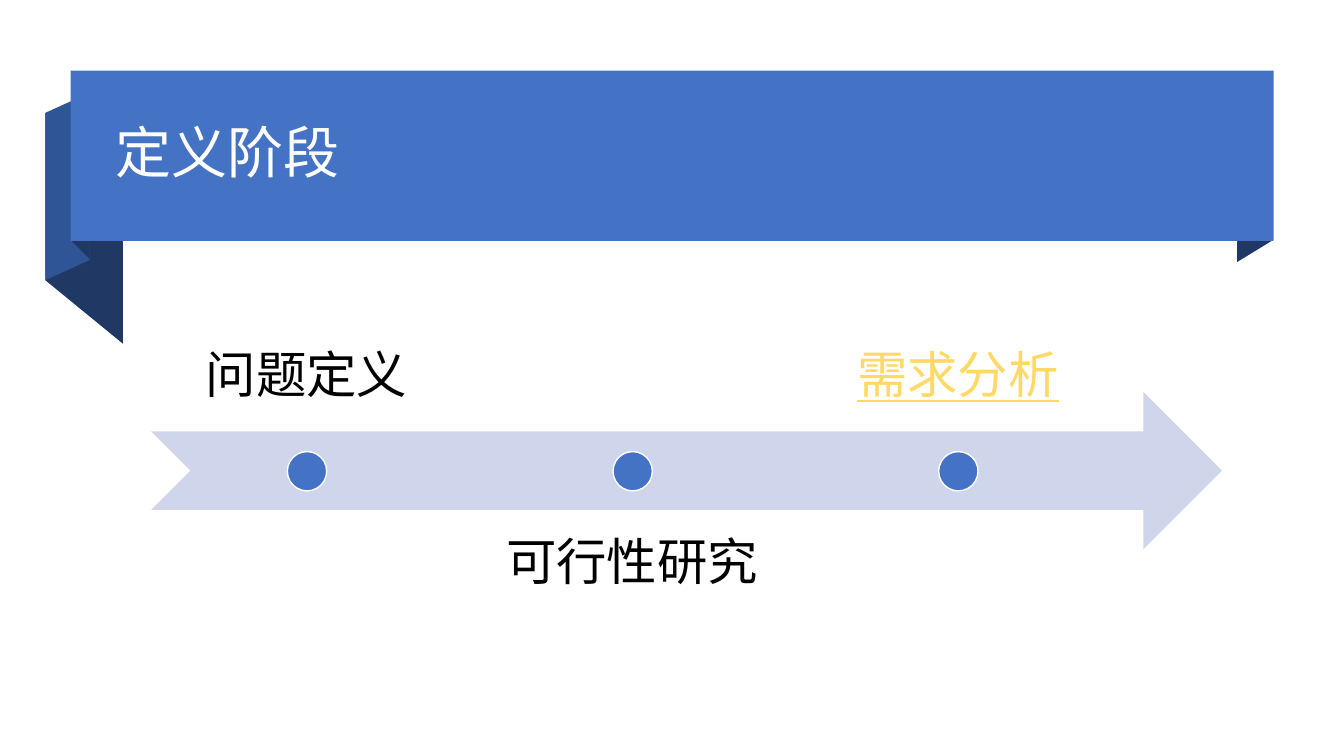
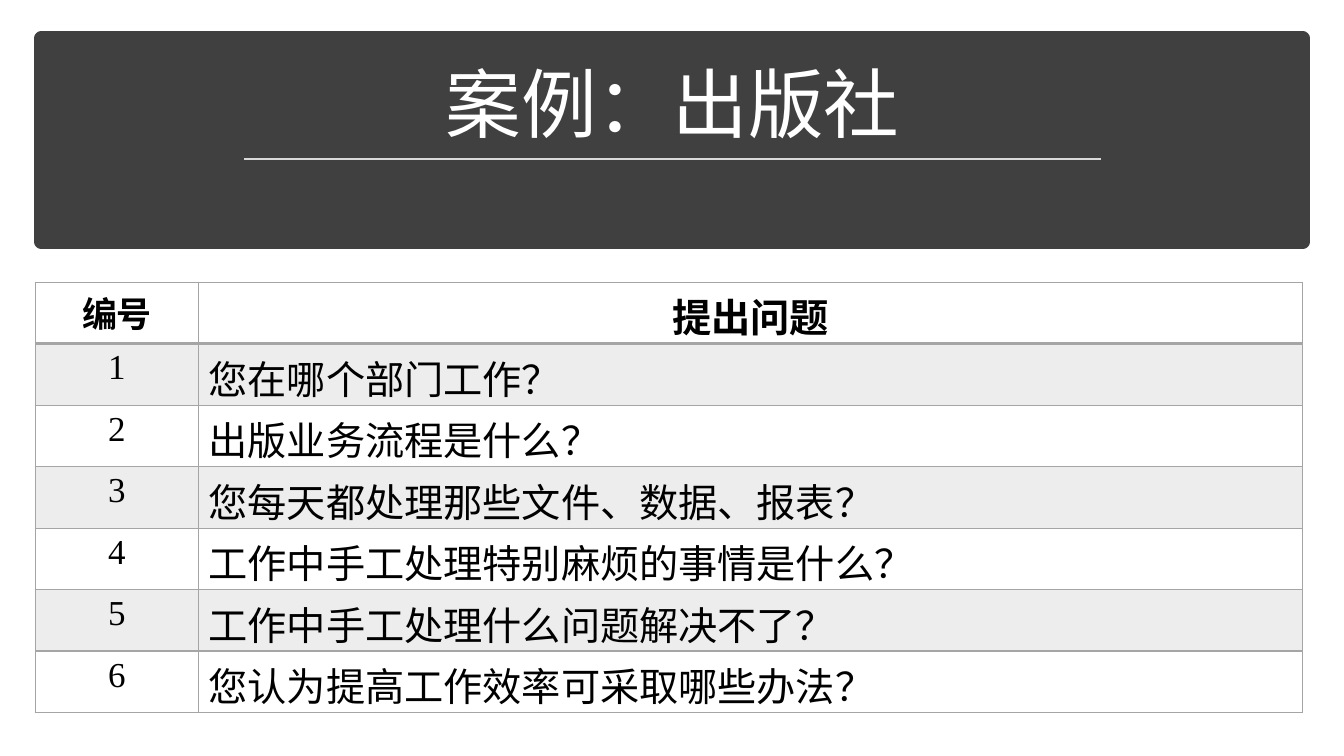
import pptx
import pptx.util
import pptx.dml.color
import pptx.enum.shapes
import pptx.enum.text
import pptx.oxml.ns
import lxml.etree

Inches = pptx.util.Inches
Pt = pptx.util.Pt
SHAPE = pptx.enum.shapes.MSO_SHAPE
ALIGN = pptx.enum.text.PP_ALIGN
ANCHOR = pptx.enum.text.MSO_ANCHOR
qn = pptx.oxml.ns.qn

# Shared style
SANS = "Noto Sans CJK SC"
SERIF = "Times New Roman"
WHITE, BLACK = "FFFFFF", "000000"
BLUE, MID_BLUE, NAVY, PALE_BLUE = "4472C4", "2F5597", "203864", "CFD5EA"
YELLOW, CHARCOAL, LIGHT_GRAY = "FFD966", "404040", "D9D9D9"
GRID_GRAY, STRIPE_GRAY = "A5A5A5", "EDEDED"

QUESTIONS = [
    "您在哪个部门工作？",
    "出版业务流程是什么？",
    "您每天都处理那些文件、数据、报表？",
    "工作中手工处理特别麻烦的事情是什么？",
    "工作中手工处理什么问题解决不了？",
    "您认为提高工作效率可采取哪些办法？",
]


def rgb(hex_color):
    return pptx.dml.color.RGBColor.from_string(hex_color)


def write(frame, text, size, color, align=ALIGN.LEFT, latin=SANS,
          bold=False, underline=False, line_spacing=None):
    """Put one formatted paragraph into a text frame."""
    frame.text = text
    paragraph = frame.paragraphs[0]
    paragraph.alignment = align
    if line_spacing:
        paragraph.line_spacing = line_spacing
    font = paragraph.runs[0].font
    font.size = Pt(size)
    font.name = latin
    font.bold = bold
    font.underline = underline
    font.color.rgb = rgb(color)
    east_asian = lxml.etree.SubElement(paragraph.runs[0].font._element, qn("a:ea"))
    east_asian.set("typeface", SANS)


def paint(shape, fill, line=None, width=1):
    shape.shadow.inherit = False
    shape.fill.solid()
    shape.fill.fore_color.rgb = rgb(fill)
    if line:
        shape.line.color.rgb = rgb(line)
        shape.line.width = Pt(width)
    else:
        shape.line.fill.background()


def add_block(slide, preset, box, fill, line=None, width=1):
    block = slide.shapes.add_shape(preset, *map(Inches, box))
    paint(block, fill, line, width)


def add_fold(slide, points, fill):
    corners = [(Inches(x), Inches(y)) for x, y in points]
    builder = slide.shapes.build_freeform(*corners[0], scale=1.0)
    builder.add_line_segments(corners[1:], close=True)
    paint(builder.convert_to_shape(), fill)


def add_text(slide, box, text, size, color, align=ALIGN.LEFT,
             anchor=ANCHOR.MIDDLE, inset=None, underline=False):
    frame = slide.shapes.add_textbox(*map(Inches, box)).text_frame
    frame.word_wrap = True
    frame.vertical_anchor = anchor
    if inset is not None:
        frame.margin_left = frame.margin_right = Inches(inset)
        frame.margin_top = frame.margin_bottom = Inches(inset)
    write(frame, text, size, color, align, underline=underline, line_spacing=0.9)


def add_rule(slide, left, right, y, color, width):
    rule = slide.shapes.add_connector(
        pptx.enum.shapes.MSO_CONNECTOR.STRAIGHT,
        Inches(left), Inches(y), Inches(right), Inches(y))
    rule.line.color.rgb = rgb(color)
    rule.line.width = Pt(width)
    lxml.etree.SubElement(rule._element.spPr, qn("a:effectLst"))


def set_borders(cell, color, widths):
    """Draw cell edges; widths maps L, R, T, B to points."""
    properties = cell._tc.get_or_add_tcPr()
    for side, width in widths.items():
        edge = lxml.etree.SubElement(properties, qn("a:ln" + side))
        edge.set("w", str(Pt(width)))
        solid = lxml.etree.SubElement(edge, qn("a:solidFill"))
        lxml.etree.SubElement(solid, qn("a:srgbClr")).set("val", color)


def add_question_table(slide, left, top, column_widths, row_height):
    rows = [("编号", "提出问题")]
    rows += [(str(number), question) for number, question in enumerate(QUESTIONS, 1)]
    table = slide.shapes.add_table(
        len(rows), 2, Inches(left), Inches(top),
        Inches(sum(column_widths)), Inches(row_height * len(rows))).table
    table.first_row = False
    table.horz_banding = False
    for column, width in zip(table.columns, column_widths):
        column.width = Inches(width)
    for r, row in enumerate(rows):
        table.rows[r].height = Inches(row_height)
        header = r == 0
        for c, text in enumerate(row):
            cell = table.cell(r, c)
            write(cell.text_frame, text, (25, 28)[c], BLACK,
                  ALIGN.CENTER if header or c == 0 else ALIGN.LEFT,
                  latin=SERIF, bold=header)
            set_borders(cell, GRID_GRAY, {
                "L": 1, "R": 1, "T": 2 if r == 1 else 1, "B": 2 if header else 1})
            if r % 2:
                cell.fill.solid()
                cell.fill.fore_color.rgb = rgb(STRIPE_GRAY)
            else:
                cell.fill.background()


def add_ribbon_title(slide, title):
    # Folds behind the band
    add_fold(slide, [(1.22, 3.41), (0.45, 2.78), (0.45, 1.12), (1.22, 1.75)], NAVY)
    add_fold(slide, [(0.89, 2.58), (0.45, 2.78), (0.45, 1.12), (0.89, 0.92)], MID_BLUE)
    add_fold(slide, [(0.89, 2.57), (0.71, 2.39), (0.71, 0.7), (0.89, 0.89)], NAVY)
    add_fold(slide, [(12.63, 2.38), (12.27, 2.6), (12.27, 0.91), (12.63, 0.7)], NAVY)
    # Band and title
    add_block(slide, SHAPE.RECTANGLE, (0.7, 0.7, 11.93, 1.69), BLUE)
    add_text(slide, (1.05, 0.88, 11.23, 1.33), title, 40, WHITE)


def add_timeline(slide, stages):
    add_block(slide, SHAPE.NOTCHED_RIGHT_ARROW, (1.5, 3.89, 10.62, 1.56), PALE_BLUE)
    for index, (stage, current) in enumerate(stages):
        left = 1.5 + index * 3.23
        above = index % 2 == 0
        add_text(slide, (left, 2.72 if above else 5.06, 3.08, 1.56), stage, 36,
                 YELLOW if current else BLACK, ALIGN.CENTER,
                 ANCHOR.BOTTOM if above else ANCHOR.TOP, 0.28, current)
        add_block(slide, SHAPE.OVAL, (left + 1.35, 4.48, 0.39, 0.39), BLUE, WHITE)


def build_definition_slide(slide):
    add_ribbon_title(slide, "定义阶段")
    add_timeline(slide, [("问题定义", False), ("可行性研究", False), ("需求分析", True)])


def build_case_slide(slide):
    # Title band
    add_block(slide, SHAPE.RECTANGLE, (0.41, 0.38, 12.51, 2.02), CHARCOAL, CHARCOAL, 10)
    add_text(slide, (0.58, 0.51, 12.18, 1.02), "案例：出版社", 54, WHITE,
             ALIGN.CENTER, ANCHOR.BOTTOM)
    add_rule(slide, 2.42, 10.92, 1.58, LIGHT_GRAY, 1.75)
    # Interview questions
    add_question_table(slide, 0.35, 2.8, (1.62, 10.95), 0.61)


def main():
    deck = pptx.Presentation()
    deck.slide_width = Inches(13.33)
    deck.slide_height = Inches(7.5)
    blank = deck.slide_layouts[6]
    for build in (build_definition_slide, build_case_slide):
        build(deck.slides.add_slide(blank))
    deck.save("out.pptx")


main()
